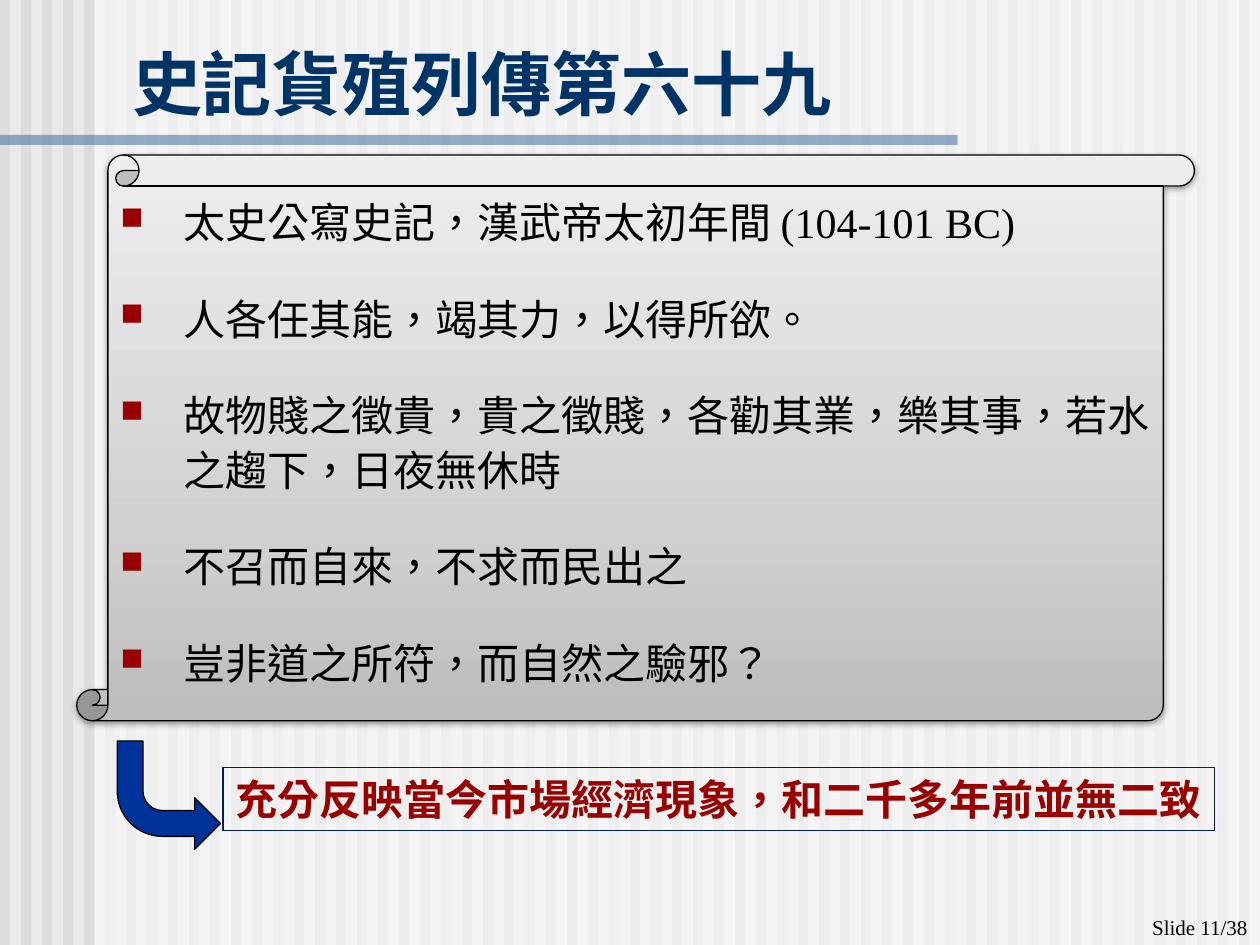
from dataclasses import dataclass
from pptx import Presentation
from pptx.dml.color import RGBColor
from pptx.enum.lang import MSO_LANGUAGE_ID
from pptx.enum.shapes import MSO_SHAPE
from pptx.enum.text import MSO_ANCHOR, PP_ALIGN
from pptx.oxml import parse_xml
from pptx.oxml.ns import nsdecls, qn
from pptx.util import Inches, Pt


@dataclass
class Theme:
    font: str = "Times New Roman"
    ground: str = "EAEAEA"
    stripe: str = "DDDDDD"
    veil: str = "FFFFFF"
    rule: str = "336699"
    title: str = "003366"
    ink: str = "000000"
    red: str = "990000"
    arrow: str = "003399"
    frame: str = "002060"
    fade: tuple = ((0, "BDBDBD"), (35, "D1D1D1"), (100, "EEEEEE"))
    head: int = 40
    body: int = 24
    note: int = 12


theme = Theme()
deck = Presentation()
deck.slide_width, deck.slide_height = Inches(10), Inches(7.5)
slide = deck.slides.add_slide(deck.slide_layouts[6])
slide.background.fill.solid()
slide.background.fill.fore_color.rgb = RGBColor.from_string(theme.ground)


def draw(kind, at, fill=None, line=None, alpha=None):
    shape = slide.shapes.add_shape(kind, *map(Inches, at))
    shape.shadow.inherit = False
    if fill:
        shape.fill.solid()
        shape.fill.fore_color.rgb = RGBColor.from_string(fill)
    else:
        shape.fill.background()
    if alpha:
        color = shape.element.spPr.find(".//" + qn("a:srgbClr"))
        color.append(parse_xml(f'<a:alpha {nsdecls("a")} val="{alpha * 1000}"/>'))
    if line:
        shape.line.color.rgb = RGBColor.from_string(line)
        shape.line.width = Pt(0.75)
    else:
        shape.line.fill.background()
    return shape


def write(para, text, size, color, bold=False, **form):
    run = para.add_run()
    run.text = text
    look = {"name": theme.font, "size": Pt(size), "bold": bold,
            "language_id": MSO_LANGUAGE_ID.TRADITIONAL_CHINESE}
    for key, value in look.items():
        setattr(run.font, key, value)
    run.font.color.rgb = RGBColor.from_string(color)
    for key, value in ({"alignment": PP_ALIGN.LEFT} | form).items():
        setattr(para, key, value)


# Striped ground, white veil and title rule
for i in range(60):
    draw(MSO_SHAPE.RECTANGLE, (i / 6, 0, 0.08, 7.5), theme.stripe)
draw(MSO_SHAPE.RECTANGLE, (0.75, 0, 9.25, 7.5), theme.veil, alpha=50)
draw(MSO_SHAPE.RECTANGLE, (0, 1.07, 7.6, 0.08), theme.rule, alpha=50)

# Title and slide number
labels = [
    ((0.95, 0.27, 8.93, 0.77), "史記貨殖列傳第六十九", theme.head, theme.title, True, PP_ALIGN.LEFT),
    ((7.92, 7.01, 2.08, 0.5), "Slide 11/38", theme.note, theme.ink, False, PP_ALIGN.RIGHT),
]
for at, text, size, color, bold, align in labels:
    frame = slide.shapes.add_textbox(*map(Inches, at)).text_frame
    frame.word_wrap = True
    frame.vertical_anchor = MSO_ANCHOR.BOTTOM
    write(frame.paragraphs[0], text, size, color, bold, alignment=align)

# Scroll with a grey fade and a soft shadow
scroll = draw(MSO_SHAPE.VERTICAL_SCROLL, (0.61, 1.23, 8.87, 4.49), theme.veil, theme.ink)
scroll.adjustments[0] = 0.055
stops = "".join(f'<a:gs pos="{pos * 1000}"><a:srgbClr val="{color}"/></a:gs>'
                for pos, color in theme.fade)
props = scroll.element.spPr
props.replace(props.find(qn("a:solidFill")), parse_xml(
    f'<a:gradFill {nsdecls("a")} rotWithShape="1"><a:gsLst>{stops}</a:gsLst>'
    '<a:lin ang="16200000" scaled="1"/></a:gradFill>'))
props.find(qn("a:effectLst")).append(parse_xml(
    f'<a:outerShdw {nsdecls("a")} blurRad="{Pt(3.1)}" dist="{Pt(1.6)}" dir="5400000" '
    f'rotWithShape="0"><a:srgbClr val="{theme.ink}"><a:alpha val="38000"/></a:srgbClr></a:outerShdw>'))

# Quotations on the scroll
quotes = [
    "太史公寫史記，漢武帝太初年間 (104-101 BC)",
    "人各任其能，竭其力，以得所欲。",
    "故物賤之徵貴，貴之徵賤，各勸其業，樂其事，若水之趨下，日夜無休時",
    "不召而自來，不求而民出之",
    "豈非道之所符，而自然之驗邪？",
]
frame = scroll.text_frame
frame.word_wrap = True
frame.vertical_anchor = MSO_ANCHOR.TOP
for i, quote in enumerate(quotes):
    para = frame.add_paragraph() if i else frame.paragraphs[0]
    write(para, quote, theme.body, theme.ink, line_spacing=Pt(31.2),
          space_before=Pt(12 if i else 24), space_after=Pt(12))
    props = para._p.get_or_add_pPr()
    props.set("marL", str(Inches(0.5)))
    props.set("indent", str(Inches(-0.5)))
    for mark in (f'<a:buClr {nsdecls("a")}><a:srgbClr val="{theme.red}"/></a:buClr>',
                 f'<a:buSzPct {nsdecls("a")} val="75000"/>',
                 f'<a:buChar {nsdecls("a")} char="■"/>'):
        props.append(parse_xml(mark))

# Conclusion and the arrow to it
result = draw(MSO_SHAPE.RECTANGLE, (1.77, 6.09, 7.87, 0.5), line=theme.frame)
frame = result.text_frame
frame.word_wrap = False
frame.vertical_anchor = MSO_ANCHOR.TOP
write(frame.paragraphs[0], "充分反映當今市場經濟現象，和二千多年前並無二致",
      theme.body, theme.red, True)
arrow = draw(MSO_SHAPE.BENT_ARROW, (0.93, 5.88, 0.82, 0.86), theme.arrow, theme.ink)
arrow.rotation = 180
arrow.element.spPr.find(qn("a:xfrm")).set("flipH", "1")

deck.save("out.pptx")
